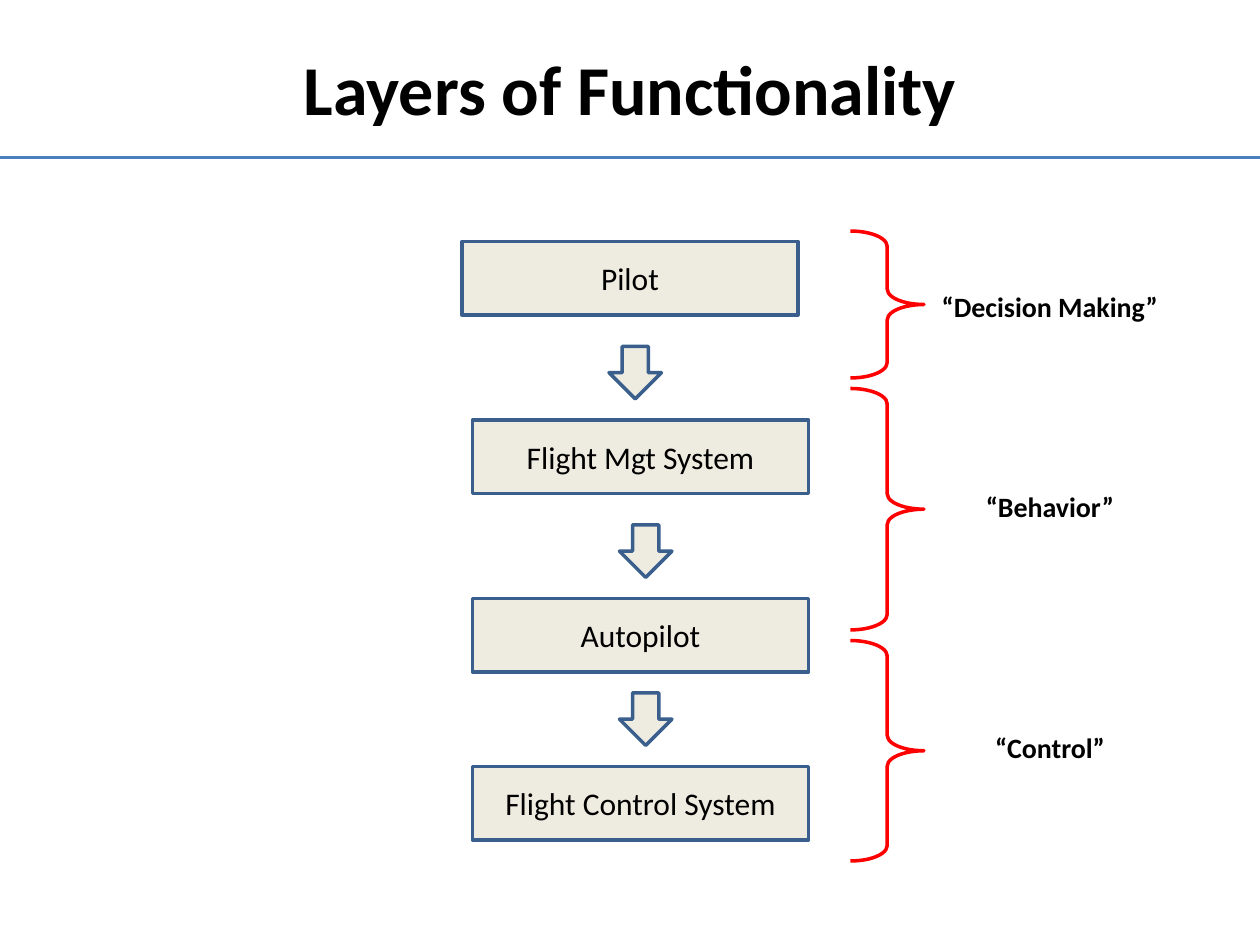
"""Build a slide that stacks flight functions beside the layers they belong to."""
from dataclasses import dataclass

from lxml.etree import SubElement
from pptx import Presentation
from pptx.dml.color import RGBColor
from pptx.enum.shapes import MSO_CONNECTOR, MSO_SHAPE
from pptx.enum.text import MSO_ANCHOR, PP_ALIGN
from pptx.oxml.ns import qn
from pptx.util import Emu, Pt

EMU_PER_PX = 7620
SLIDE_WIDTH, SLIDE_HEIGHT = 1200, 900
FONT = "Calibri"
COLORS = {
    "text": "000000",
    "rule": "4B7EBC",
    "fill": "EEECE1",
    "outline": "3A5F8C",
    "brace": "FF0000",
}
STAGE_WIDTH, STAGE_HEIGHT = 320, 70
ARROW_SIZE = 50
ARROW_INDENT = 140
BRACE_LEFT, BRACE_WIDTH = 810, 70
LABEL_LEFT, LABEL_WIDTH, LABEL_HEIGHT = 880, 240, 44


@dataclass(frozen=True)
class Stage:
    name: str
    left: int
    top: int
    arrow_top: int | None = None


@dataclass(frozen=True)
class Layer:
    name: str
    top: int
    height: int
    label_top: int


STAGES = [
    Stage("Pilot", 440, 230, 330),
    Stage("Flight Mgt System", 450, 400, 500),
    Stage("Autopilot", 450, 570, 660),
    Stage("Flight Control System", 450, 730),
]
LAYERS = [
    Layer("“Decision Making”", 220, 140, 270),
    Layer("“Behavior”", 370, 230, 460),
    Layer("“Control”", 610, 210, 690),
]


def px(*lengths: int) -> list[Emu]:
    return [Emu(length * EMU_PER_PX) for length in lengths]


def color(key: str) -> RGBColor:
    return RGBColor.from_string(COLORS[key])


def write(frame, text: str, size: int, bold: bool = False) -> None:
    frame.word_wrap = True
    frame.vertical_anchor = MSO_ANCHOR.MIDDLE
    frame.text = text
    paragraph = frame.paragraphs[0]
    paragraph.alignment = PP_ALIGN.CENTER
    font = paragraph.runs[0].font
    font.name, font.size, font.bold = FONT, Pt(size), bold
    font.color.rgb = color("text")


def add_text(slide, text: str, bounds: tuple[int, int, int, int], size: int) -> None:
    write(slide.shapes.add_textbox(*px(*bounds)).text_frame, text, size, bold=True)


def add_outlined(slide, kind: MSO_SHAPE, bounds: tuple[int, int, int, int],
                 outline: str, fill: str | None = None):
    shape = slide.shapes.add_shape(kind, *px(*bounds))
    shape.shadow.inherit = False
    if fill:
        shape.fill.solid()
        shape.fill.fore_color.rgb = color(fill)
    else:
        shape.fill.background()
    shape.line.color.rgb = color(outline)
    shape.line.width = Pt(2)
    return shape


def add_rule(slide, top: int) -> None:
    rule = slide.shapes.add_connector(
        MSO_CONNECTOR.STRAIGHT, *px(0, top, SLIDE_WIDTH, top))
    rule.line.color.rgb = color("rule")
    rule.line.width = Pt(2.25)
    SubElement(rule._element.spPr, qn("a:effectLst"))


def add_stage(slide, stage: Stage) -> None:
    box = add_outlined(slide, MSO_SHAPE.RECTANGLE,
                       (stage.left, stage.top, STAGE_WIDTH, STAGE_HEIGHT),
                       "outline", "fill")
    write(box.text_frame, stage.name, 18)
    if stage.arrow_top is not None:
        add_outlined(slide, MSO_SHAPE.DOWN_ARROW,
                     (stage.left + ARROW_INDENT, stage.arrow_top, ARROW_SIZE, ARROW_SIZE),
                     "outline", "fill")


def add_layer(slide, layer: Layer) -> None:
    brace = add_outlined(slide, MSO_SHAPE.RIGHT_BRACE,
                         (BRACE_LEFT, layer.top, BRACE_WIDTH, layer.height), "brace")
    brace.adjustments[0] = 0.21
    add_text(slide, layer.name,
             (LABEL_LEFT, layer.label_top, LABEL_WIDTH, LABEL_HEIGHT), 16)


def main() -> None:
    presentation = Presentation()
    presentation.slide_width, presentation.slide_height = px(SLIDE_WIDTH, SLIDE_HEIGHT)
    slide = presentation.slides.add_slide(presentation.slide_layouts[6])
    add_rule(slide, 150)
    add_text(slide, "Layers of Functionality", (60, 36, 1080, 94), 40)
    for stage in STAGES:
        add_stage(slide, stage)
    for layer in LAYERS:
        add_layer(slide, layer)
    presentation.save("out.pptx")


if __name__ == "__main__":
    main()
